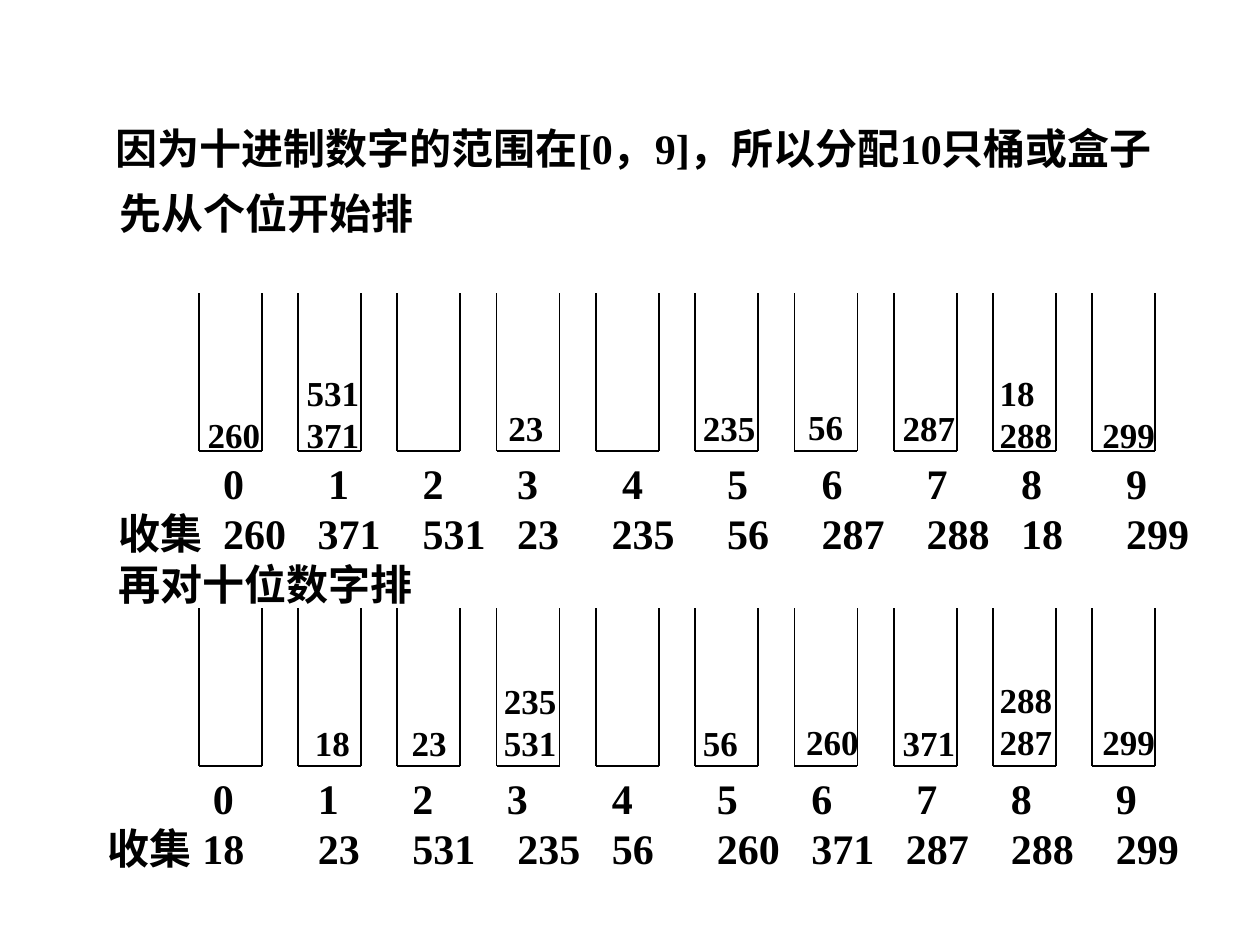
from dataclasses import dataclass

import pptx
import pptx.dml.color
import pptx.enum.shapes
import pptx.oxml.ns
import pptx.util
from lxml import etree

Pt = pptx.util.Pt
FONT = "Times New Roman"
BLACK = "000000"
BIN_LEFT, BIN_PITCH, BIN_WIDTH, BIN_HEIGHT = 113.6, 56.73, 36, 90
DIGIT_TABS = [60, 120, 174, 228, 288, 348, 402, 462, 516, 576]
DIGITS = list("0123456789")


@dataclass
class Line:
    text: str
    tabs: tuple | list = ()


@dataclass
class Content:
    x: float
    y: float
    numbers: list[str]


@dataclass
class Pass:
    top: float
    contents: list[Content]


def color(value: str) -> pptx.dml.color.RGBColor:
    return pptx.dml.color.RGBColor.from_string(value)


def tabbed(head: str, items: list[str], tabs: list[float]) -> Line:
    return Line("\t".join([head, *items]), tabs)


def add_text(shapes, x: float, y: float, w: float, h: float,
             lines: list[Line], size: float) -> None:
    sp = shapes.add_textbox(Pt(x), Pt(y), Pt(w), Pt(h))
    tf = sp.text_frame
    tf.word_wrap = any(line.tabs for line in lines)
    for i, line in enumerate(lines):
        p = tf.add_paragraph() if i else tf.paragraphs[0]
        p.text = line.text
        if line.tabs:
            tab_list = etree.SubElement(p._p.get_or_add_pPr(), pptx.oxml.ns.qn("a:tabLst"))
            for pos in line.tabs:
                etree.SubElement(tab_list, pptx.oxml.ns.qn("a:tab"), pos=str(int(Pt(pos))), algn="l")
        p.font.name = FONT
        p.font.size = Pt(size)
        p.font.bold = True
        p.font.color.rgb = color(BLACK)


def add_line(shapes, x1: float, y1: float, x2: float, y2: float) -> None:
    sp = shapes.add_connector(pptx.enum.shapes.MSO_CONNECTOR.STRAIGHT,
                              Pt(x1), Pt(y1), Pt(x2), Pt(y2))
    sp.line.color.rgb = color(BLACK)
    sp.line.width = Pt(1)
    etree.SubElement(sp._element.spPr, pptx.oxml.ns.qn("a:effectLst"))


def add_bins(shapes, top: float) -> None:
    bottom = top + BIN_HEIGHT
    for i in range(len(DIGITS)):
        left = BIN_LEFT + i * BIN_PITCH
        right = left + BIN_WIDTH
        add_line(shapes, left, top, left, bottom)
        add_line(shapes, right, top, right, bottom)
        add_line(shapes, left, bottom, right, bottom)


def add_pass(shapes, sorting: Pass) -> None:
    add_bins(shapes, sorting.top)
    for c in sorting.contents:
        width = 14.4 + 10 * max(map(len, c.numbers))
        height = 7.2 + 24 * len(c.numbers)
        add_text(shapes, c.x, c.y, width, height, [Line(n) for n in c.numbers], 20)


UNITS = Pass(167.6, [
    Content(111.6, 232.6, ["260"]),
    Content(168.2, 208.6, ["531", "371"]),
    Content(283.5, 229, ["23"]),
    Content(394.6, 229, ["235"]),
    Content(454.8, 228.2, ["56"]),
    Content(508.7, 229, ["287"]),
    Content(564.2, 208.6, ["18", "288"]),
    Content(622.8, 232.6, ["299"]),
])
TENS = Pass(347.6, [
    Content(172.8, 409, ["18"]),
    Content(228.2, 409, ["23"]),
    Content(280.8, 385, ["235", "531"]),
    Content(394.6, 409, ["56"]),
    Content(453.6, 408.2, ["260"]),
    Content(508.7, 409, ["371"]),
    Content(564.2, 384, ["288", "287"]),
    Content(622.8, 408.2, ["299"]),
])


def main() -> None:
    prs = pptx.Presentation()
    prs.slide_width, prs.slide_height = Pt(720), Pt(540)
    s = prs.slides.add_slide(prs.slide_layouts[6])
    digits = tabbed("", DIGITS, DIGIT_TABS)

    add_text(s.shapes, 59.2, 66.4, 640.8, 36,
             [Line("因为十进制数字的范围在[0，9]，所以分配10只桶或盒子")], 24)
    add_text(s.shapes, 61.2, 103.8, 182.2, 36, [Line("先从个位开始排")], 24)
    add_text(s.shapes, 60.4, 257.8, 640, 93.6, [
        digits,
        tabbed("收集", ["260", "371", "531", "23", "235", "56", "287", "288", "18", "299"],
               [60, 114, 174, 228, 282, 348, 402, 462, 516, 576]),
        Line("再对十位数字排"),
    ], 24)
    add_pass(s.shapes.add_group_shape().shapes, UNITS)

    group = s.shapes.add_group_shape().shapes
    add_pass(group, TENS)
    add_text(group, 54.6, 437.8, 640, 64.8, [
        digits,
        tabbed("收集", ["18", "23", "531", "235", "56", "260", "371", "287", "288", "299"],
               [54, 120, 174, 234, 288, 348, 402, 456, 516, 576]),
    ], 24)
    prs.save("out.pptx")


if __name__ == "__main__":
    main()
